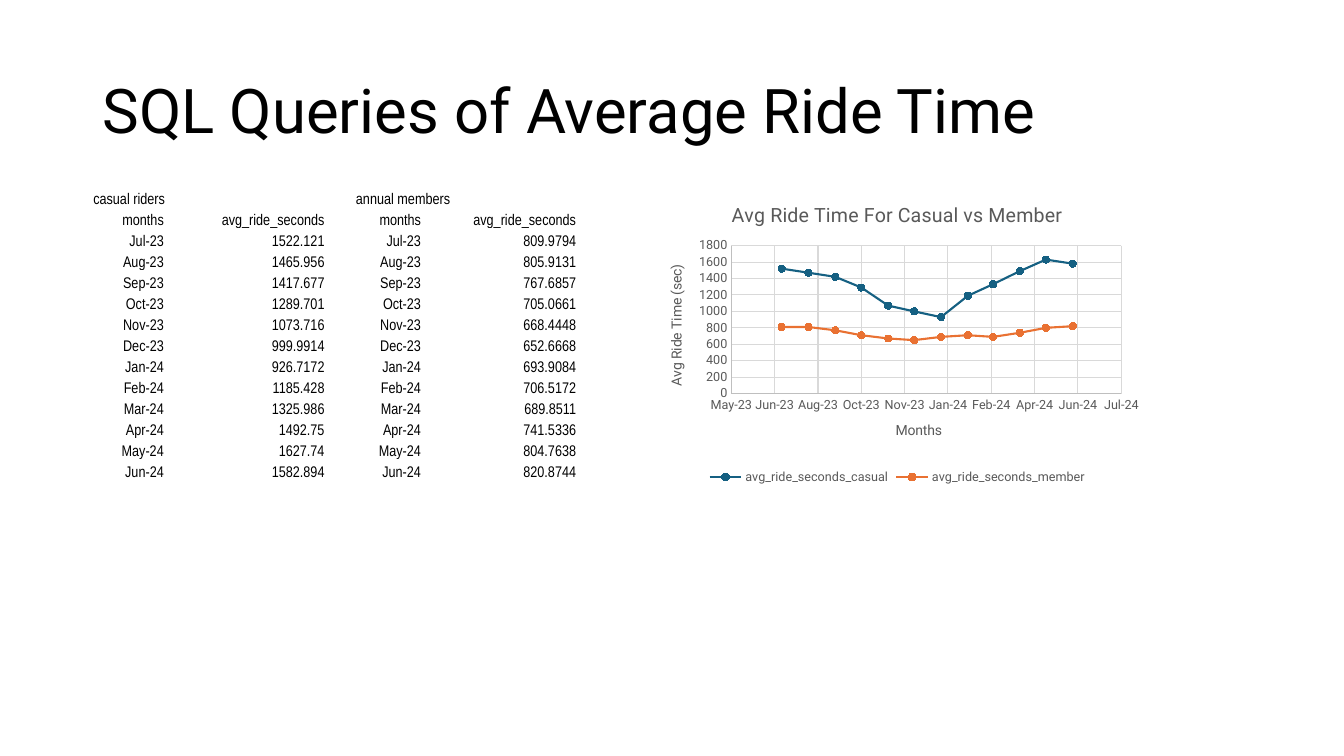
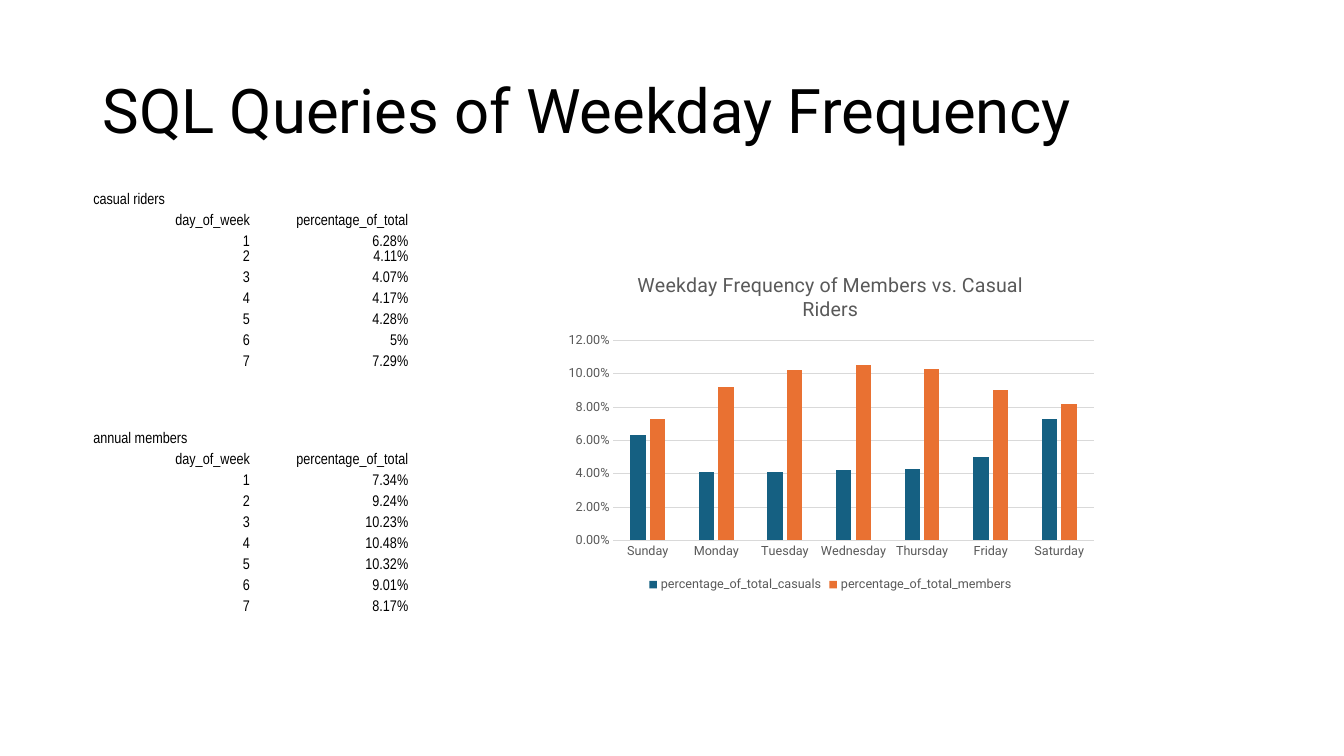
import itertools

import pptx
import pptx.chart.data
import pptx.dml.color
import pptx.enum.chart
import pptx.enum.text
import pptx.oxml
import pptx.oxml.ns
import pptx.util

Cm, Pt = pptx.util.Cm, pptx.util.Pt
RGB = pptx.dml.color.RGBColor
Align, Anchor = pptx.enum.text.PP_ALIGN, pptx.enum.text.MSO_ANCHOR
Kind = pptx.enum.chart.XL_CHART_TYPE

BLACK = RGB(0x00, 0x00, 0x00)
GRAY = RGB(0x59, 0x59, 0x59)
EDGE = RGB(0xBF, 0xBF, 0xBF)
GRID = RGB(0xD9, 0xD9, 0xD9)
TINTS = [RGB(0x15, 0x60, 0x82), RGB(0xE9, 0x71, 0x32)]
SANS, SLIM = "Roboto", "Arial Narrow"

LEFT, TOP = 2.33, 4.7
ROW = 0.53

MONTHS = ["Jul-23", "Aug-23", "Sep-23", "Oct-23", "Nov-23", "Dec-23",
          "Jan-24", "Feb-24", "Mar-24", "Apr-24", "May-24", "Jun-24"]
START = 45108  # date serial of 1 July 2023
LENGTHS = [31, 31, 30, 31, 30, 31, 31, 29, 31, 30, 31]
DATES = list(itertools.accumulate(LENGTHS, initial=START))
DAYS = ["Sunday", "Monday", "Tuesday", "Wednesday", "Thursday", "Friday", "Saturday"]
NUMBERS = [str(n) for n in range(1, 8)]

TIMES = {
    "casual": ["1522.121", "1465.956", "1417.677", "1289.701", "1073.716", "999.9914",
               "926.7172", "1185.428", "1325.986", "1492.75", "1627.74", "1582.894"],
    "member": ["809.9794", "805.9131", "767.6857", "705.0661", "668.4448", "652.6668",
               "693.9084", "706.5172", "689.8511", "741.5336", "804.7638", "820.8744"],
}
SHARES = {
    "casuals": ["6.28%", "4.11%", "4.07%", "4.17%", "4.28%", "5%", "7.29%"],
    "members": ["7.34%", "9.24%", "10.23%", "10.48%", "10.32%", "9.01%", "8.17%"],
}


def style(font, size, color, face):
    font.size, font.name, font.bold = Pt(size), face, False
    font.color.rgb = color


def write(frame, text, size=11, color=BLACK, face=SANS, align=None, space=None):
    para = frame.paragraphs[0]
    para.alignment, para.line_spacing = align, space
    run = para.add_run()
    run.text = text
    style(run.font, size, color, face)


def add_slide(deck, title):
    slide = deck.slides.add_slide(deck.slide_layouts[5])
    box = slide.shapes.title
    box.left, box.top, box.width, box.height = Cm(LEFT), Cm(1.01), Cm(29.21), Cm(3.68)
    box.text_frame.vertical_anchor = Anchor.MIDDLE
    write(box.text_frame, title, size=44, align=Align.LEFT, space=0.9)
    return slide


def add_grid(slide, left, top, widths, group, heads, *columns, low=None):
    """Plain table: a merged group name, column heads, then the data; row low is shorter."""
    rows = [(group, ""), heads, *zip(*columns)]
    frame = slide.shapes.add_table(len(rows), len(widths), Cm(left), Cm(top),
                                   Cm(sum(widths)), Cm(ROW * len(rows)))
    table = frame.table
    table.first_row = table.horz_banding = False
    for column, width in zip(table.columns, widths):
        column.width = Cm(width)
    for r, row in enumerate(rows):
        table.rows[r].height = Cm(0.38 if r == low else ROW)
        for c, text in enumerate(row):
            cell = table.cell(r, c)
            cell.fill.background()
            cell.vertical_anchor = Anchor.BOTTOM
            cell.margin_left = cell.margin_right = cell.margin_top = Cm(0.02)
            cell.margin_bottom = 0
            write(cell.text_frame, text, face=SLIM, align=Align.RIGHT if r else Align.LEFT)
    table.cell(0, 0).merge(table.cell(0, 1))


def place_plot(chart, box, plot):
    """Fix the inner plot area; both boxes are left, top, width, height on the slide."""
    left, top, width, height = box
    parts = {"x": (plot[0] - left) / width, "y": (plot[1] - top) / height,
             "w": plot[2] / width, "h": plot[3] / height}
    marks = "".join(f'<c:{name} val="{value:.4f}"/>' for name, value in parts.items())
    layout = pptx.oxml.parse_xml(
        f'<c:layout {pptx.oxml.ns.nsdecls("c")}><c:manualLayout>'
        '<c:layoutTarget val="inner"/><c:xMode val="edge"/><c:yMode val="edge"/>'
        f'{marks}</c:manualLayout></c:layout>')
    area = chart._chartSpace.xpath(".//c:plotArea")[0]
    for old in area.xpath("c:layout"):
        area.remove(old)
    area.insert(0, layout)


def add_chart(slide, kind, box, plot, data, title):
    chart = slide.shapes.add_chart(kind, *map(Cm, box), data).chart
    style(chart.font, 10, BLACK, SANS)
    chart.has_title = chart.has_legend = True
    write(chart.chart_title.text_frame, title, size=14, color=GRAY)
    chart.chart_title.include_in_layout = False
    chart.legend.position = pptx.enum.chart.XL_LEGEND_POSITION.BOTTOM
    chart.legend.include_in_layout = False
    style(chart.legend.font, 9, GRAY, SANS)
    chart.plots[0].vary_by_categories = False
    place_plot(chart, box, plot)
    return chart


def set_axis(axis, form, line=None, grid=True, title=None):
    none = pptx.enum.chart.XL_TICK_MARK.NONE
    axis.major_tick_mark = axis.minor_tick_mark = none
    style(axis.tick_labels.font, 9, GRAY, SANS)
    axis.tick_labels.number_format = form
    axis.tick_labels.number_format_is_linked = False
    axis.has_major_gridlines = grid
    if grid:
        rule = axis.major_gridlines.format.line
        rule.color.rgb, rule.width = GRID, Pt(0.75)
    if line is None:
        axis.format.line.fill.background()
    else:
        axis.format.line.color.rgb, axis.format.line.width = line, Pt(0.75)
    if title:
        write(axis.axis_title.text_frame, title, size=10, color=GRAY)


def add_times(deck):
    slide = add_slide(deck, "SQL Queries of Average Ride Time")
    heads = ("months", "avg_ride_seconds")
    add_grid(slide, LEFT, TOP, (1.82, 4.05), "casual riders", heads, MONTHS, TIMES["casual"])
    add_grid(slide, 8.95, TOP, (1.68, 3.91), "annual members", heads, MONTHS, TIMES["member"])

    data = pptx.chart.data.XyChartData()
    for group, values in TIMES.items():
        series = data.add_series(f"avg_ride_seconds_{group}")
        for date, value in zip(DATES, values):
            series.add_data_point(date, round(float(value) / 10) * 10)
    chart = add_chart(slide, Kind.XY_SCATTER_LINES, (16.26, 4.69, 12.7, 7.62),
                      (18.43, 6.19, 9.83, 3.73), data, "Avg Ride Time For Casual vs Member")
    dates, times = chart.category_axis, chart.value_axis
    set_axis(dates, "mmm-yy", line=EDGE, title="Months")
    dates.minimum_scale, dates.maximum_scale, dates.major_unit = 45050, 45500, 50
    set_axis(times, "General", line=EDGE, title="Avg Ride Time (sec)")
    times.minimum_scale, times.maximum_scale, times.major_unit = 0, 1800, 200
    times.axis_title._element.xpath(".//a:bodyPr")[0].set("rot", "-5400000")
    for series, tint in zip(chart.plots[0].series, TINTS):
        series.format.line.color.rgb, series.format.line.width = tint, Pt(1.5)
        mark = series.marker
        mark.style, mark.size = pptx.enum.chart.XL_MARKER_STYLE.CIRCLE, 5
        mark.format.fill.solid()
        mark.format.fill.fore_color.rgb = mark.format.line.color.rgb = tint


def add_shares(deck):
    slide = add_slide(deck, "SQL Queries of Weekday Frequency")
    heads, widths = ("day_of_week", "percentage_of_total"), (3.99, 3.99)
    add_grid(slide, LEFT, TOP, widths, "casual riders", heads, NUMBERS, SHARES["casuals"], low=3)
    add_grid(slide, LEFT, 10.72, widths, "annual members", heads, NUMBERS, SHARES["members"])

    data = pptx.chart.data.CategoryChartData(number_format="0.00%")
    data.categories = DAYS
    for group, values in SHARES.items():
        data.add_series(f"percentage_of_total_{group}",
                        [round(float(value.rstrip("%")) / 100, 3) for value in values])
    chart = add_chart(slide, Kind.COLUMN_CLUSTERED, (14.04, 6.43, 13.77, 8.59),
                      (15.46, 8.58, 12.1, 5.04), data,
                      "Weekday Frequency of Members vs. Casual Riders")
    set_axis(chart.category_axis, "General", line=GRID, grid=False)
    set_axis(chart.value_axis, "0.00%")
    plot = chart.plots[0]
    plot.gap_width, plot.overlap = 219, -27
    for series, tint in zip(plot.series, TINTS):
        series.format.fill.solid()
        series.format.fill.fore_color.rgb = tint


def main():
    deck = pptx.Presentation()
    deck.slide_width, deck.slide_height = Cm(33.87), Cm(19.05)
    add_times(deck)
    add_shares(deck)
    deck.save("out.pptx")


if __name__ == "__main__":
    main()
